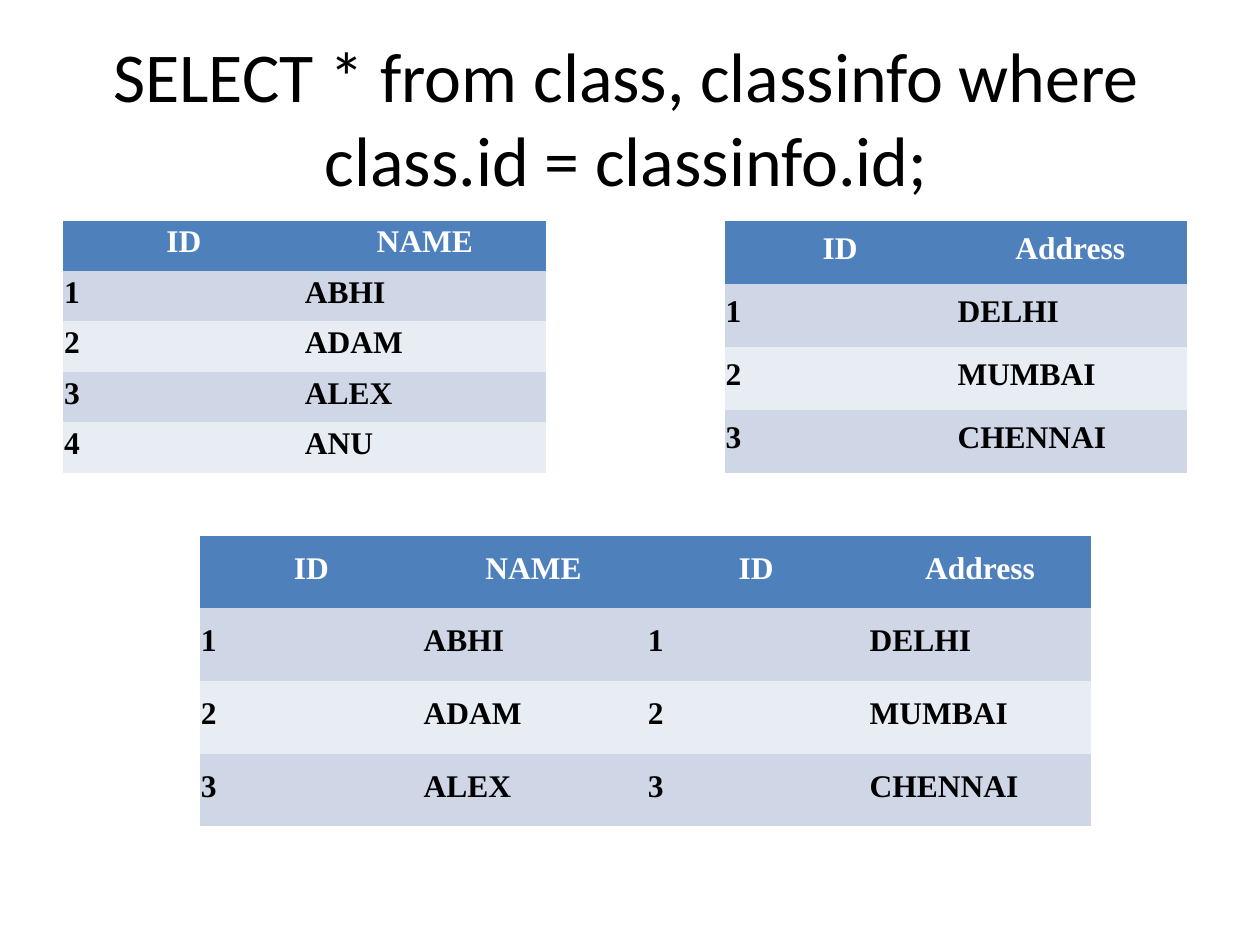
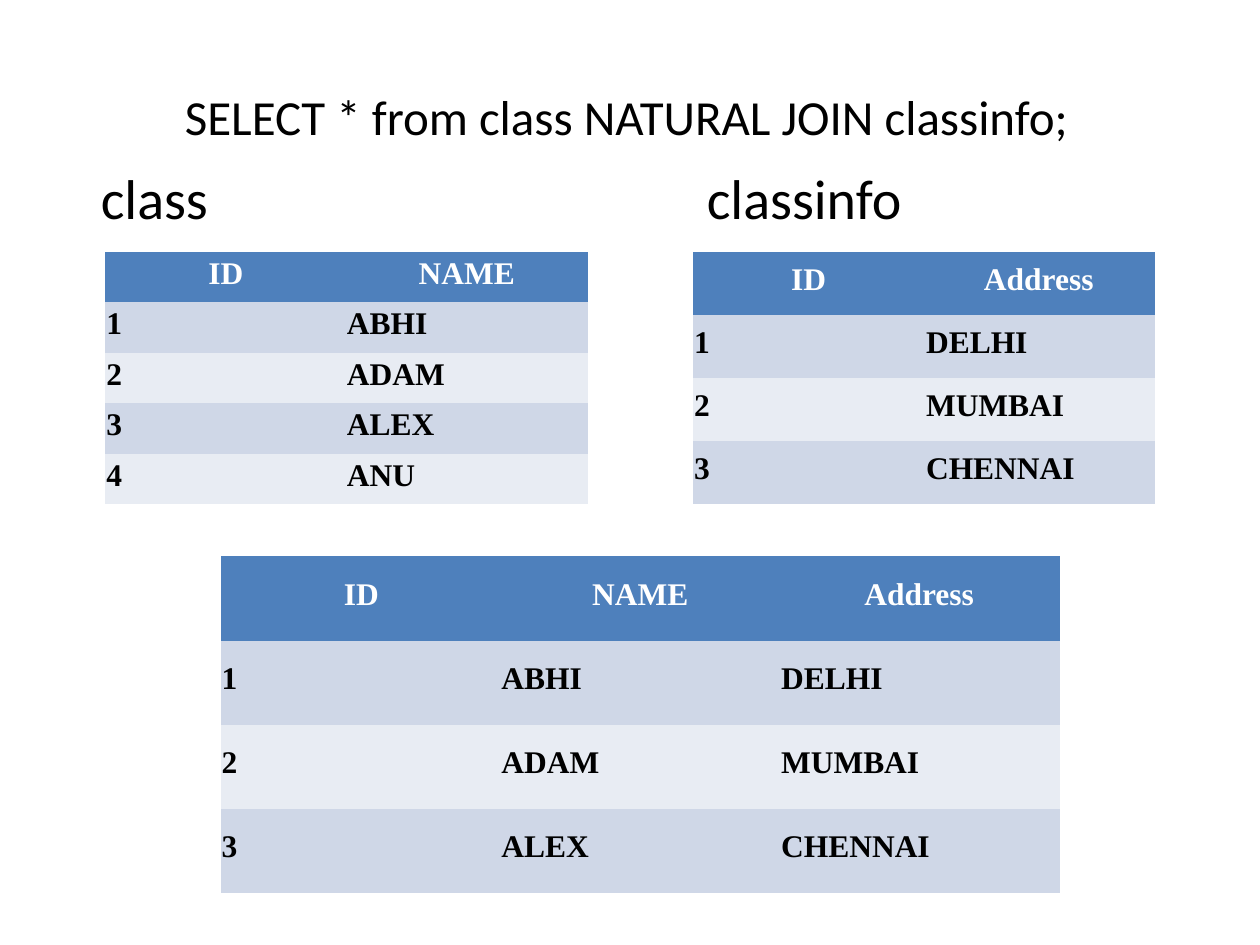
from dataclasses import dataclass

from lxml.etree import SubElement
from pptx import Presentation
from pptx.dml.color import RGBColor
from pptx.enum.text import MSO_ANCHOR, MSO_AUTO_SIZE, PP_ALIGN
from pptx.oxml.ns import qn
from pptx.util import Inches, Pt


@dataclass(frozen=True)
class Theme:
    header: RGBColor = RGBColor(0x4E, 0x80, 0xBC)
    bands: tuple = (RGBColor(0xCF, 0xD7, 0xE7), RGBColor(0xE8, 0xEC, 0xF3))
    black: RGBColor = RGBColor(0, 0, 0)
    white: RGBColor = RGBColor(255, 255, 255)
    text_font: str = "Calibri"
    table_font: str = "Times New Roman"
    long_title: int = 40
    short_title: int = 28
    label: int = 32
    cell: int = 18
    plain_table: str = "{2D5ABB26-0587-4C30-8999-92F81FD0307C}"


@dataclass(frozen=True)
class Records:
    """Rows of a table; widths and text indents of its columns in inches."""
    rows: list
    widths: tuple
    header_indents: tuple
    body_indents: tuple
    merge_last: bool = False


theme = Theme()

# Slide grid: 120 columns by 90 rows
deck = Presentation()
deck.slide_width, deck.slide_height = Inches(10), Inches(7.5)
unit = deck.slide_width // 120

# Source tables and joined results; an empty column pads the ID column
names = ["ABHI", "ADAM", "ALEX", "ANU"]
cities = ["DELHI", "MUMBAI", "CHENNAI"]
students = Records(
    [("", "ID", "NAME")] + [(str(number), "", name) for number, name in enumerate(names, 1)],
    (0.48, 1.03, 2.32), (0, 0.34, 0.98), (0.01, 0, 0.41))
addresses = Records(
    [("", "ID", "Address")] + [(str(number), city, "") for number, city in enumerate(cities, 1)],
    (0.46, 0.99, 2.22), (0, 0.32, 0.86), (0.01, 1.39, 0), merge_last=True)
equi_join = Records(
    [("", "ID", "NAME", "", "ID", "Address")]
    + [(str(number), "", name, str(number), "", city)
       for number, (name, city) in enumerate(zip(names, cities), 1)],
    (0.44, 0.96, 1.89, 0.69, 0.96, 2.14),
    (0, 0.31, 0.87, 0, 0.3, 0.82), (0.01, 0, 0.38, 0.27, 0, 0.38))
natural_join = Records(
    [("", "ID", "NAME", "Address")]
    + [(str(number), "", name, city)
       for number, (name, city) in enumerate(zip(names, cities), 1)],
    (0.55, 1.19, 2.34, 2.58), (0, 0.43, 1.21, 1.03), (0.01, 0, 0.49, 0.37))


def style_text(para, size, color, font_name, bold=False):
    font = para.font
    font.size, font.name, font.bold = Pt(size), font_name, bold
    font.color.rgb = color


def add_records(page, records, left, top, row_height):
    """Place a banded table; left and top are in grid units, row_height in inches."""
    row_count, column_count = len(records.rows), len(records.widths)
    frame = page.shapes.add_table(row_count, column_count, left * unit, top * unit,
                                  Inches(sum(records.widths)), Inches(row_height * row_count))
    for style in frame.element.iter(qn("a:tableStyleId")):
        style.text = theme.plain_table
    table = frame.table
    for column, width in zip(table.columns, records.widths):
        column.width = Inches(width)
    for row_index, row in enumerate(records.rows):
        is_header = row_index == 0
        indents = records.header_indents if is_header else records.body_indents
        for column_index, value in enumerate(row):
            cell = table.cell(row_index, column_index)
            cell.fill.solid()
            cell.fill.fore_color.rgb = theme.header if is_header else theme.bands[(row_index - 1) % 2]
            cell.margin_left = Inches(indents[column_index])
            cell.margin_right = cell.margin_bottom = 0
            cell.margin_top = Inches((row_height - 0.33) / 2)
            cell.text = value
            style_text(cell.text_frame.paragraphs[0], theme.cell,
                       theme.white if is_header else theme.black, theme.table_font, bold=True)
        if records.merge_last and not is_header:
            table.cell(row_index, column_count - 2).merge(table.cell(row_index, column_count - 1))


# Each slide: title, its size, height and top margin, then the placed tables
slides = [
    ("SELECT * from class, classinfo where class.id = classinfo.id;",
     theme.long_title, 1.36, 0.01,
     [(students, 6, 21, 0.4), (addresses, 69, 21, 0.5), (equi_join, 19, 51, 0.577)]),
    ("SELECT * from class NATURAL JOIN classinfo;",
     theme.short_title, 0.96, 0.44,
     [(students, 10, 24, 0.4), (addresses, 66, 24, 0.5), (natural_join, 21, 53, 0.667)]),
]
for heading, size, title_height, title_margin, tables in slides:
    page = deck.slides.add_slide(deck.slide_layouts[5])

    # Title
    title = page.shapes.title
    title.left, title.top = Inches(0.87), Inches(0.25)
    title.width, title.height = Inches(8.2), Inches(title_height)
    text = title.text_frame
    text.text = heading
    text.word_wrap, text.auto_size = True, MSO_AUTO_SIZE.NONE
    text.vertical_anchor = MSO_ANCHOR.TOP
    text.margin_left = text.margin_right = text.margin_bottom = 0
    text.margin_top = Inches(title_margin)
    text.paragraphs[0].alignment = PP_ALIGN.CENTER
    style_text(text.paragraphs[0], size, theme.black, theme.text_font)

    # Tables
    for records, *place in tables:
        add_records(page, records, *place)

# Table names above the two source tables of the last slide
box = page.shapes.add_textbox(Inches(0.79), Inches(1.29), Inches(6.38), Inches(0.56))
text = box.text_frame
text.word_wrap = True
text.margin_left = text.margin_top = Inches(0.01)
text.margin_right = text.margin_bottom = 0
para = text.paragraphs[0]
para.text = "class\tclassinfo"
style_text(para, theme.label, theme.black, theme.text_font)
properties = box.element.find(".//" + qn("a:pPr"))
tab_list = SubElement(properties, qn("a:tabLst"))
SubElement(tab_list, qn("a:tab"), pos=str(Inches(4.81)), algn="l")
properties.insert(0, tab_list)

deck.save("out.pptx")
